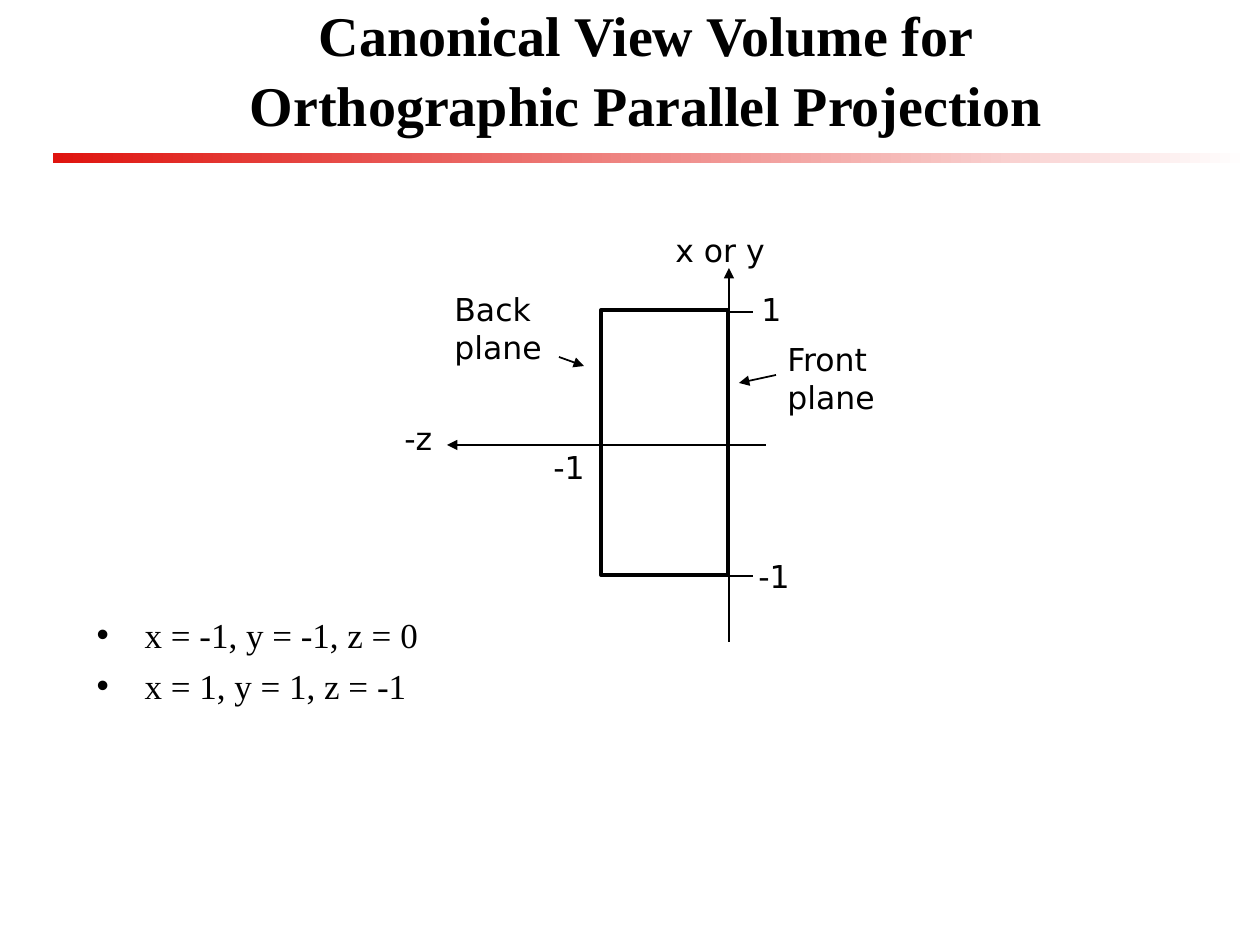
"""Build a slide on the canonical view volume for orthographic parallel projection."""
from dataclasses import dataclass

from lxml.etree import SubElement
from pptx import Presentation
from pptx.dml.color import RGBColor
from pptx.enum.shapes import MSO_CONNECTOR, MSO_SHAPE
from pptx.enum.text import MSO_ANCHOR, MSO_AUTO_SIZE, PP_ALIGN
from pptx.oxml.ns import qn
from pptx.slide import Slide
from pptx.util import Emu, Pt

COLORS = {"ink": "000000", "rule": "DF140F", "paper": "FFFFFF"}
EMU_PER_INCH = 914400
PX_PER_INCH = 126


def px(length):
    return Emu(round(length * EMU_PER_INCH / PX_PER_INCH))


def color(name):
    return RGBColor.from_string(COLORS[name])


@dataclass
class SlideBuilder:
    slide: Slide
    serif: str = "Times New Roman"
    sans: str = "DejaVu Sans"
    title_size: int = 32
    body_size: int = 20
    label_size: int = 18
    line_spacing: float = 1.04

    def __post_init__(self):
        self.diagram = None

    def start_diagram(self):
        self.diagram = self.slide.shapes.add_group_shape().shapes

    def place(self, shape, left, top, width, height):
        shape.left, shape.top = px(left), px(top)
        shape.width, shape.height = px(width), px(height)

    def add_run(self, paragraph, text, font_name, size, bold=False):
        run = paragraph.add_run()
        run.text = text
        run.font.name = font_name
        run.font.size = Pt(size)
        run.font.bold = bold
        run.font.color.rgb = color("ink")

    def paragraphs(self, frame, lines):
        for index, line in enumerate(lines):
            paragraph = frame.add_paragraph() if index else frame.paragraphs[0]
            yield index, paragraph, line

    def title(self, lines, *box):
        shape = self.slide.shapes.title
        self.place(shape, *box)
        frame = shape.text_frame
        frame.auto_size = MSO_AUTO_SIZE.NONE
        frame.vertical_anchor = MSO_ANCHOR.MIDDLE
        paragraph = frame.paragraphs[0]
        paragraph.alignment = PP_ALIGN.CENTER
        paragraph.line_spacing = self.line_spacing
        for index, line in enumerate(lines):
            if index:
                paragraph.add_line_break()
            self.add_run(paragraph, line, self.serif, self.title_size, bold=True)

    def bullets(self, lines, indent, *box):
        shape = self.slide.placeholders[1]
        self.place(shape, *box)
        frame = shape.text_frame
        frame.auto_size = MSO_AUTO_SIZE.NONE
        for index, paragraph, line in self.paragraphs(frame, lines):
            properties = paragraph._p.get_or_add_pPr()
            properties.set("marL", str(px(indent)))
            properties.set("indent", str(-px(indent)))
            paragraph.line_spacing = self.line_spacing
            paragraph.space_before = Pt(self.body_size * 0.2 if index else 0)
            self.add_run(paragraph, line, self.serif, self.body_size)

    def gradient_rule(self, *box):
        shape = self.slide.shapes.add_shape(MSO_SHAPE.RECTANGLE, *map(px, box))
        shape.shadow.inherit = False
        shape.line.fill.background()
        shape.fill.gradient()
        shape.fill.gradient_angle = 0
        for stop, name in zip(shape.fill.gradient_stops, ("rule", "paper")):
            stop.color.rgb = color(name)

    def outline(self, *box):
        shape = self.diagram.add_shape(MSO_SHAPE.RECTANGLE, *map(px, box))
        shape.shadow.inherit = False
        shape.fill.background()
        shape.line.color.rgb = color("ink")
        shape.line.width = Pt(2.13)

    def line(self, *ends, arrow=False):
        connector = self.diagram.add_connector(MSO_CONNECTOR.STRAIGHT, *map(px, ends))
        connector.line.color.rgb = color("ink")
        connector.line.width = Pt(1)
        if arrow:
            SubElement(connector.line._get_or_add_ln(), qn("a:tailEnd"), type="triangle")
        SubElement(connector._element.spPr, qn("a:effectLst"))

    def label(self, lines, *box):
        frame = self.diagram.add_textbox(*map(px, box)).text_frame
        frame.word_wrap = False
        frame.auto_size = MSO_AUTO_SIZE.SHAPE_TO_FIT_TEXT
        for _, paragraph, line in self.paragraphs(frame, lines):
            self.add_run(paragraph, line, self.sans, self.label_size)


def main():
    presentation = Presentation()
    presentation.slide_width, presentation.slide_height = px(1260), px(945)
    builder = SlideBuilder(presentation.slides.add_slide(presentation.slide_layouts[1]))

    builder.gradient_rule(53, 153, 1197, 10)
    builder.title(
        ["Canonical View Volume for", "Orthographic Parallel Projection"], 179, 0, 935, 136
    )
    builder.bullets(["x = -1, y = -1, z = 0", "x = 1, y = 1, z = -1"], 48, 84, 606, 1113, 192)

    builder.start_diagram()
    axis_x = 729
    builder.line(axis_x, 642, axis_x, 268, arrow=True)
    builder.line(776, 375, 739, 383, arrow=True)
    builder.line(766, 445, 447, 445, arrow=True)
    builder.outline(601, 310, 127, 265)
    for tick_y in (312, 576):
        builder.line(axis_x + 24, tick_y, axis_x, tick_y)
    builder.line(559, 357, 584, 366, arrow=True)

    for lines, left, top, width in (
        (["-1"], 746, 551, 63),
        (["-1"], 541, 442, 63),
        (["1"], 749, 284, 48),
        (["-z"], 392, 413, 59),
        (["x or y"], 663, 225, 126),
        (["Back", "plane"], 442, 284, 122),
        (["Front", "plane"], 775, 334, 122),
    ):
        builder.label(lines, left, top, width, 12 + 38 * len(lines))

    presentation.save("out.pptx")


if __name__ == "__main__":
    main()
